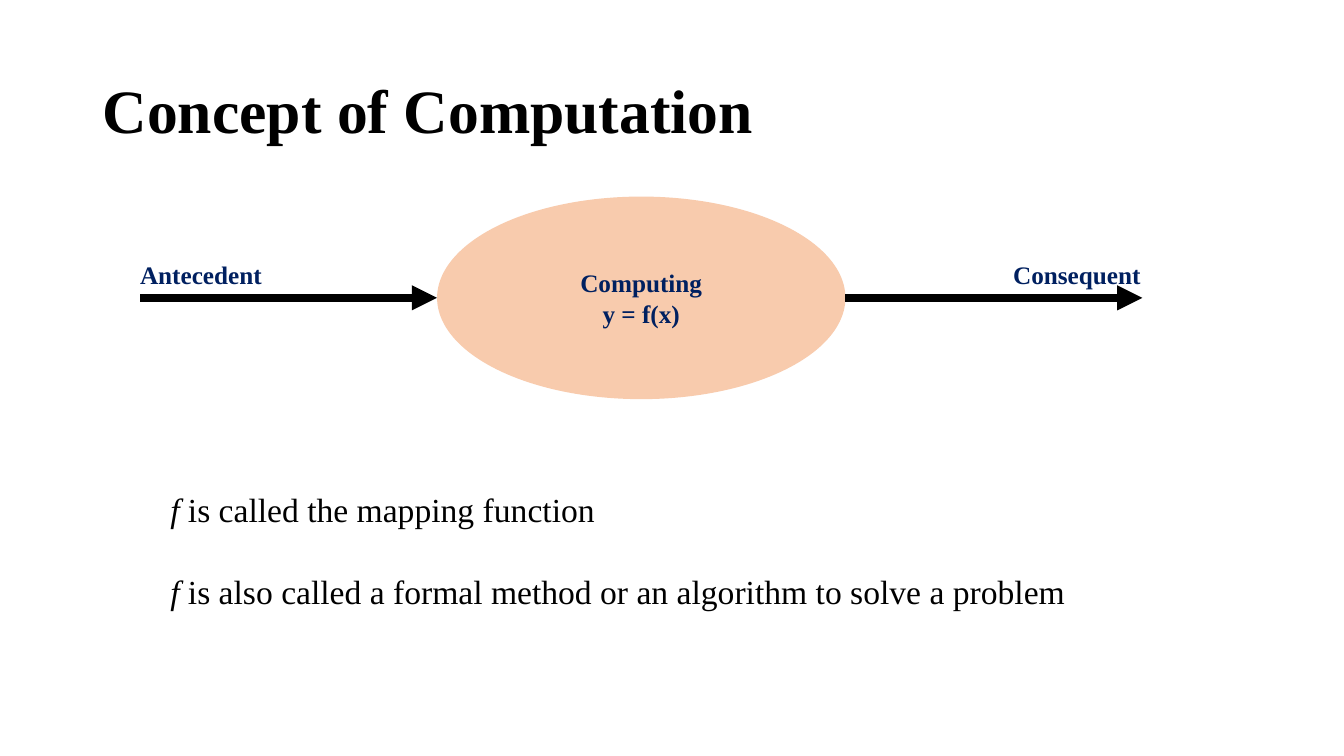
"""Build the Concept of Computation slide."""
from lxml import etree
from pptx import Presentation
from pptx import util as u
from pptx.dml.color import RGBColor
from pptx.enum import shapes, text
from pptx.oxml.ns import qn

FONT = "Times New Roman"
COLORS = {"ink": "000000", "navy": "002060", "peach": "F8CBAD"}


def rgb(name):
    return RGBColor.from_string(COLORS[name])


def write(tf, paras, size, color, bold=False, align=text.PP_ALIGN.LEFT, gap=0, spacing=None):
    for i, runs in enumerate(paras):
        p = tf.paragraphs[0] if i == 0 else tf.add_paragraph()
        p.alignment = align
        if spacing:
            p.line_spacing = spacing
        if i:
            p.space_before = u.Pt(gap)
        for words, italic in runs:
            r = p.add_run()
            r.text = words
            r.font.name, r.font.size = FONT, u.Pt(size)
            r.font.bold, r.font.italic = bold, italic
            r.font.color.rgb = rgb(color)


def add_text(s, x, y, w, h, wrap=False):
    tf = s.shapes.add_textbox(*map(u.Inches, (x, y, w, h))).text_frame
    tf.word_wrap = wrap
    return tf


def add_arrow(s, x1, x2, y):
    ends = map(u.Inches, (x1, y, x2, y))
    cx = s.shapes.add_connector(shapes.MSO_CONNECTOR.STRAIGHT, *ends)
    cx.line.width = u.Pt(6)
    cx.line.color.rgb = rgb("ink")
    etree.SubElement(cx.line._get_or_add_ln(), qn("a:tailEnd"), type="triangle")
    etree.SubElement(cx._element.spPr, qn("a:effectLst"))


def add_title(s, x, y, w, h):
    tf = add_text(s, x, y, w, h, wrap=True)
    tf.vertical_anchor = text.MSO_ANCHOR.MIDDLE
    write(tf, [[("Concept of Computation", False)]], 44, "ink", bold=True, spacing=0.9)


def add_flow(s, x, y, w, h):
    oval_w, pad = 4.05, 0.1
    left = x + (w - oval_w) / 2
    right, mid = left + oval_w, y + h / 2
    sp = s.shapes.add_shape(shapes.MSO_SHAPE.OVAL, *map(u.Inches, (left, y, oval_w, h)))
    sp.shadow.inherit = False
    sp.fill.solid()
    sp.fill.fore_color.rgb = rgb("peach")
    sp.line.fill.background()
    tf = sp.text_frame
    tf.vertical_anchor = text.MSO_ANCHOR.MIDDLE
    write(tf, [[("Computing", False)], [("y = f(x)", False)]], 18, "navy",
          bold=True, align=text.PP_ALIGN.CENTER)
    for x1, x2 in ((x, left), (right, x + w)):
        add_arrow(s, x1, x2, mid)
    for label, lx, lw in (("Antecedent", x - pad, 1.42),
                          ("Consequent", x + w + pad - 1.48, 1.48)):
        tf = add_text(s, lx, mid - 0.43, lw, 0.4)
        write(tf, [[(label, False)]], 18, "navy", bold=True)


def add_notes_on_f(s, x, y, w, h):
    endings = (" is called the mapping function",
               " is also called a formal method or an algorithm to solve a problem")
    tf = add_text(s, x, y, w, h)
    write(tf, [[("f", True), (e, False)] for e in endings], 24, "ink", gap=30)


def main():
    prs = Presentation()
    prs.slide_width, prs.slide_height = u.Inches(13.33), u.Inches(7.5)
    s = prs.slides.add_slide(prs.slide_layouts[6])
    add_title(s, 0.92, 0.4, 11.5, 1.45)
    add_flow(s, 1.39, 1.95, 9.94, 2.01)
    add_notes_on_f(s, 1.59, 4.8, 9.15, 1.31)
    prs.save("out.pptx")


main()
